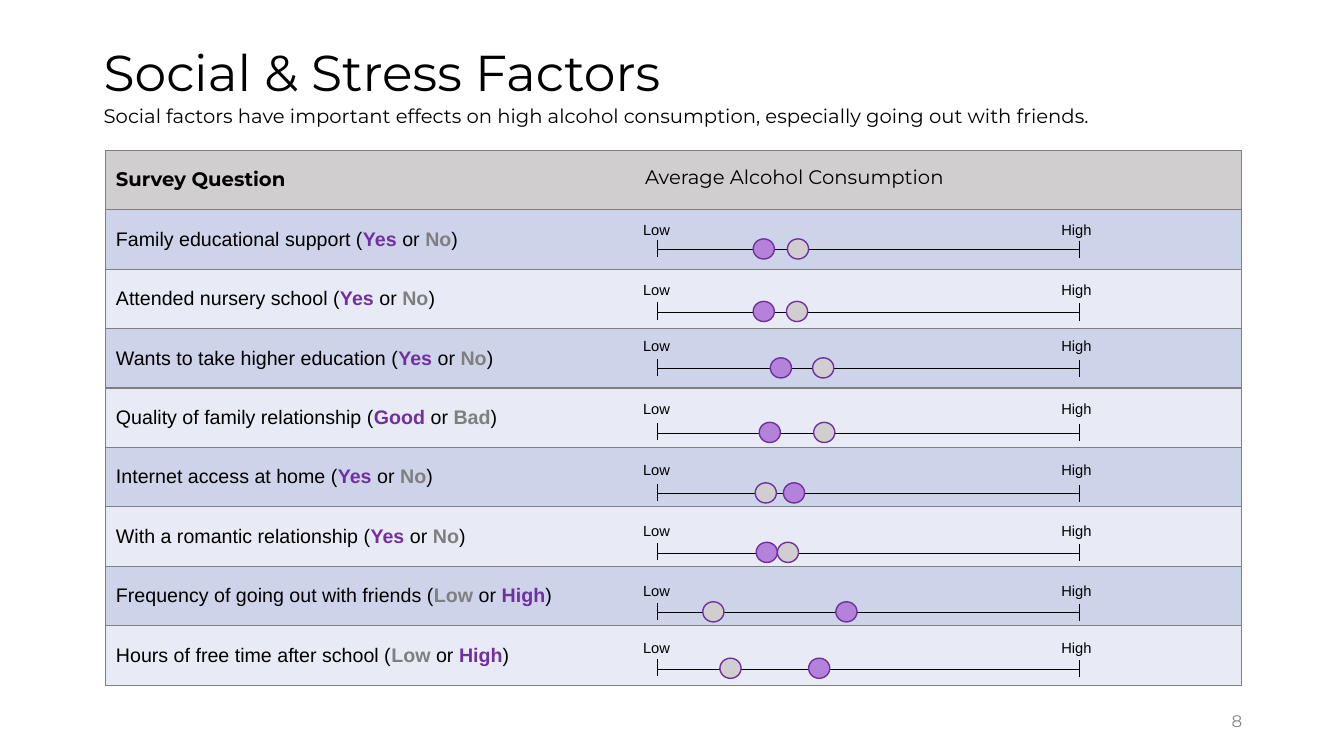
from dataclasses import dataclass

from lxml.etree import SubElement
from pptx import Presentation
from pptx.dml.color import RGBColor
from pptx.enum.shapes import MSO_CONNECTOR as Connector, MSO_SHAPE as Shape
from pptx.enum.text import MSO_ANCHOR as Anchor, MSO_AUTO_SIZE as AutoSize, PP_ALIGN as Align
from pptx.oxml import parse_xml
from pptx.oxml.ns import nsdecls, qn
from pptx.util import Inches, Pt

COLORS = {
    "text": "000000", "page_number": "888888", "header": "D0CECE",
    "odd_row": "CDD4EA", "even_row": "E8EBF5", "border": "7F7F7F",
    "strong": "7030A0", "weak": "7F7F7F",
    "strong_dot": "B482DA", "weak_dot": "D0CECE",
}
HEADING_FONT, BODY_FONT = "Montserrat", "Arial"

TABLE_LEFT, TABLE_TOP, TABLE_WIDTH, ROW_HEIGHT = 1.05, 1.49, 11.26, 0.59
SCALE_LEFT, SCALE_RIGHT = 6.52, 10.71
LOW_LEFT, HIGH_LEFT = 6.28, 10.43
DOT_WIDTH, DOT_HEIGHT = 0.21, 0.2


@dataclass
class Answer:
    label: str
    tone: str
    dot_left: float


@dataclass
class Question:
    text: str
    first: Answer
    second: Answer
    axis_y: float
    label_top: float


def strong(label: str, dot_left: float) -> Answer:
    return Answer(label, "strong", dot_left)


def weak(label: str, dot_left: float) -> Answer:
    return Answer(label, "weak", dot_left)


QUESTIONS = [
    Question("Family educational support", strong("Yes", 7.47), weak("No", 7.81), 2.48, 2.14),
    Question("Attended nursery school", strong("Yes", 7.47), weak("No", 7.8), 3.1, 2.74),
    Question("Wants to take higher education", strong("Yes", 7.64), weak("No", 8.06), 3.66, 3.29),
    Question("Quality of family relationship", strong("Good", 7.53), weak("Bad", 8.07), 4.3, 3.92),
    Question("Internet access at home", strong("Yes", 7.77), weak("No", 7.49), 4.9, 4.52),
    Question("With a romantic relationship", strong("Yes", 7.5), weak("No", 7.71), 5.49, 5.13),
    Question("Frequency of going out with friends", weak("Low", 6.97), strong("High", 8.29), 6.08, 5.72),
    Question("Hours of free time after school", weak("Low", 7.14), strong("High", 8.02), 6.64, 6.29),
]


def rgb(name: str) -> RGBColor:
    return RGBColor.from_string(COLORS[name])


def add_span(para, text: str, size: float, font: str, color: str = "text", bold: bool = False) -> None:
    span = para.add_run()
    span.text = text
    for name, value in {"size": Pt(size), "name": font, "bold": bold}.items():
        setattr(span.font, name, value)
    span.font.color.rgb = rgb(color)


def add_text(page, text: str, left: float, top: float, width: float, height: float,
             size: float, font: str, color: str = "text", anchor=Anchor.TOP,
             align=Align.LEFT, spacing: float = 1.0) -> None:
    box = page.shapes.add_textbox(Inches(left), Inches(top), Inches(width), Inches(height))
    frame = box.text_frame
    frame_format = {"word_wrap": True, "auto_size": AutoSize.NONE, "vertical_anchor": anchor}
    for name, value in frame_format.items():
        setattr(frame, name, value)
    para = frame.paragraphs[0]
    for name, value in {"alignment": align, "line_spacing": spacing}.items():
        setattr(para, name, value)
    add_span(para, text, size, font, color)


def format_cell(cell, fill: str) -> None:
    cell.vertical_anchor = Anchor.MIDDLE
    cell.fill.solid()
    cell.fill.fore_color.rgb = rgb(fill)
    properties = cell._tc.get_or_add_tcPr()
    for index, side in enumerate(("lnL", "lnR", "lnT", "lnB")):
        properties.insert(index, parse_xml(
            f'<a:{side} {nsdecls("a")} w="12700"><a:solidFill>'
            f'<a:srgbClr val="{COLORS["border"]}"/></a:solidFill></a:{side}>'))


def add_question_table(page) -> None:
    count = len(QUESTIONS) + 1
    table = page.shapes.add_table(count, 1, Inches(TABLE_LEFT), Inches(TABLE_TOP),
                                  Inches(TABLE_WIDTH), Inches(ROW_HEIGHT * count)).table
    header = table.cell(0, 0)
    format_cell(header, "header")
    add_span(header.text_frame.paragraphs[0], "Survey Question", 14, HEADING_FONT, bold=True)
    for row, question in enumerate(QUESTIONS, start=1):
        cell = table.cell(row, 0)
        format_cell(cell, "odd_row" if row % 2 else "even_row")
        first, second = question.first, question.second
        for text, color in ((f"{question.text} (", "text"), (first.label, first.tone),
                            (" or ", "text"), (second.label, second.tone), (")", "text")):
            add_span(cell.text_frame.paragraphs[0], text, 14, BODY_FONT, color, color != "text")


def add_line(group, x1: float, y1: float, x2: float, y2: float) -> None:
    line = group.shapes.add_connector(Connector.STRAIGHT, Inches(x1), Inches(y1), Inches(x2), Inches(y2))
    line.line.color.rgb = rgb("text")
    line.line.width = Pt(0.75)
    SubElement(line._element.spPr, qn("a:effectLst"))


def add_scale(page, question: Question) -> None:
    y = question.axis_y
    group = page.shapes.add_group_shape()
    add_line(group, SCALE_LEFT, y, SCALE_RIGHT, y)
    add_line(group, SCALE_LEFT, y - 0.1, SCALE_LEFT, y + 0.07)
    add_line(group, SCALE_RIGHT, y - 0.09, SCALE_RIGHT, y + 0.08)
    for text, left in (("Low", LOW_LEFT), ("High", HIGH_LEFT)):
        add_text(page, text, left, question.label_top, 0.53, 0.29, 10.5, BODY_FONT)


def add_dot(page, answer: Answer, axis_y: float) -> None:
    dot = page.shapes.add_shape(Shape.OVAL, Inches(answer.dot_left), Inches(axis_y - 0.11),
                                Inches(DOT_WIDTH), Inches(DOT_HEIGHT))
    dot.shadow.inherit = False
    dot.fill.solid()
    dot.fill.fore_color.rgb = rgb(f"{answer.tone}_dot")
    dot.line.color.rgb = rgb("strong")
    dot.line.width = Pt(1)


def main() -> None:
    deck = Presentation()
    deck.slide_width, deck.slide_height = Inches(13.33), Inches(7.5)
    page = deck.slides.add_slide(deck.slide_layouts[6])

    # Title, subtitle and page number
    add_text(page, "Social & Stress Factors", 0.93, 0.02, 11.5, 1.45, 36, HEADING_FONT,
             anchor=Anchor.MIDDLE, spacing=0.9)
    add_text(page, "8", 9.42, 6.95, 3, 0.4, 12, HEADING_FONT, "page_number",
             anchor=Anchor.MIDDLE, align=Align.RIGHT)
    add_text(page, "Social factors have important effects on high alcohol consumption, "
             "especially going out with friends.", 0.93, 0.98, 11.26, 0.34, 14, HEADING_FONT)

    # Survey table
    add_question_table(page)
    add_text(page, "Average Alcohol Consumption", 6.3, 1.59, 3.58, 0.34, 14, HEADING_FONT)

    # Scales with one dot per answer
    for question in QUESTIONS:
        add_scale(page, question)
        for answer in (question.first, question.second):
            add_dot(page, answer, question.axis_y)

    deck.save("out.pptx")


if __name__ == "__main__":
    main()
